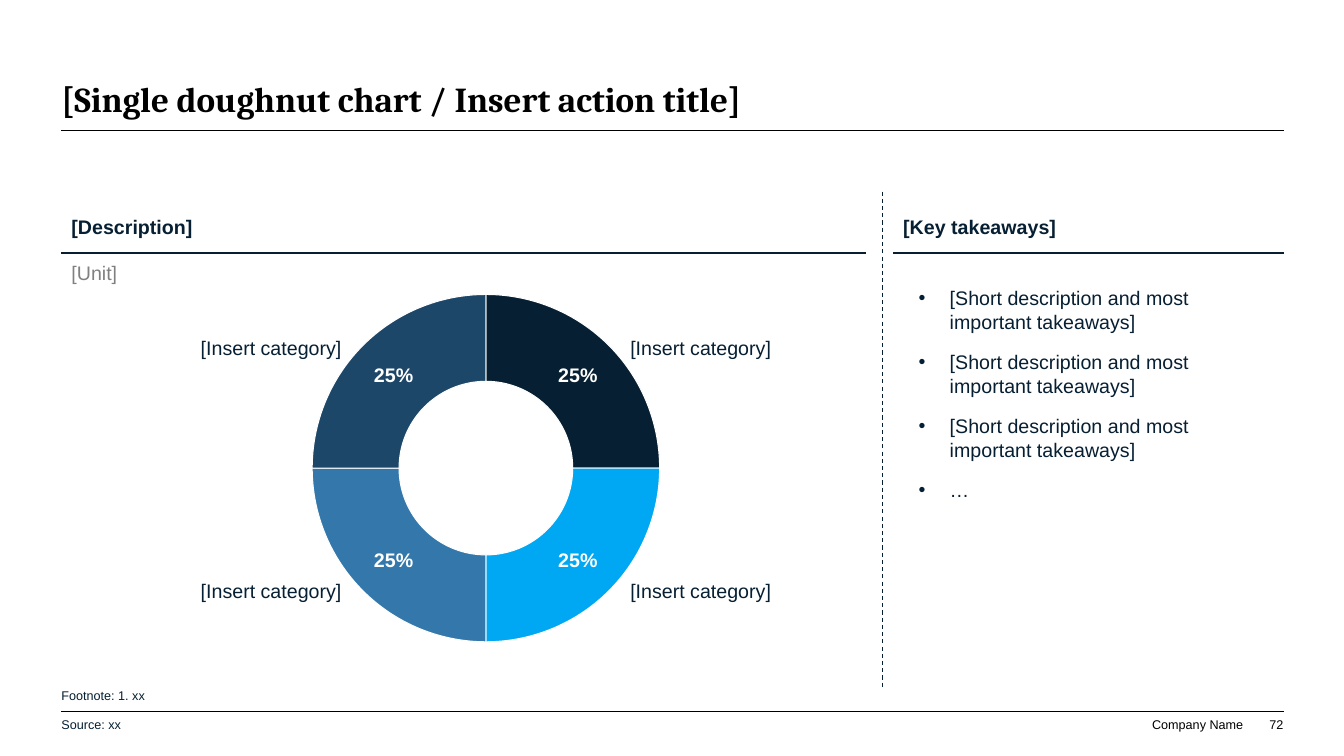
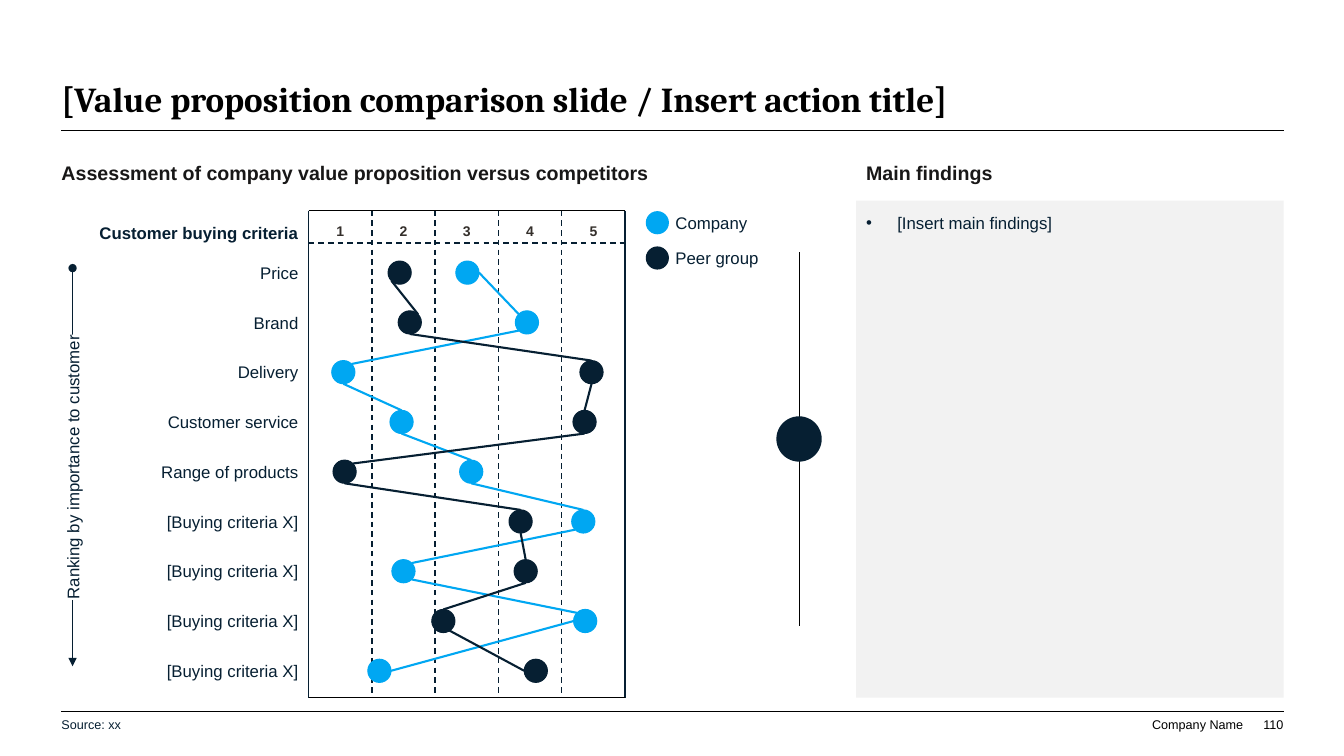
from dataclasses import dataclass
from math import cos, pi, sin

from lxml.etree import SubElement
from pptx import Presentation
from pptx.chart.data import CategoryChartData
from pptx.dml.color import RGBColor
from pptx.enum.chart import XL_CHART_TYPE
from pptx.enum.dml import MSO_LINE
from pptx.enum.shapes import MSO_CONNECTOR, MSO_SHAPE
from pptx.enum.text import MSO_ANCHOR, MSO_AUTO_SIZE, PP_ALIGN
from pptx.oxml.ns import qn
from pptx.util import Inches, Pt


@dataclass(frozen=True)
class Theme:
    navy: str = "061F32"
    sky: str = "00A7F2"
    blue: str = "3478AB"
    steel: str = "1D4769"
    black: str = "000000"
    white: str = "FFFFFF"
    ink: str = "181717"
    brown: str = "342F2B"
    grey: str = "808080"
    pale: str = "F2F2F2"
    serif: str = "Cambria"
    sans: str = "Arial"
    title: int = 25
    head: int = 14
    body: int = 12
    scale: int = 10
    note: int = 9


@dataclass(frozen=True)
class Box:
    x: float
    y: float
    w: float
    h: float

    @property
    def right(self):
        return self.x + self.w

    @property
    def end(self):
        return self.y + self.h

    @property
    def mid(self):
        return self.x + self.w / 2, self.y + self.h / 2

    def sub(self, dx, dy, w, h):
        """Box of a given size, offset from this one's top left corner."""
        return Box(self.x + dx, self.y + dy, w, h)

    def emu(self):
        return [Inches(v) for v in (self.x, self.y, self.w, self.h)]


def around(x, y, w, h):
    """Box centred on a point."""
    return Box(x - w / 2, y - h / 2, w, h)


T = Theme()
PAGE = Box(0, 0, 13.33, 7.5)
BODY = Box(0.61, 1.29, 12.12, 5.77)  # between the two rules
PAD = (0.1, 0.05, 0.1, 0.05)
INDENT = 0.31
DOT = 0.23
LEFT, MID, RIGHT = PP_ALIGN.LEFT, PP_ALIGN.CENTER, PP_ALIGN.RIGHT
TOP, CENTRE, BASE = MSO_ANCHOR.TOP, MSO_ANCHOR.MIDDLE, MSO_ANCHOR.BOTTOM


def rgb(code):
    return RGBColor.from_string(code)


def write(shape, text, size=T.body, color=T.navy, font=T.sans, bold=False,
          align=LEFT, anchor=TOP, pad=(0, 0, 0, 0), wrap=True,
          bullet=False, after=0):
    """Fill a shape with text, one paragraph a line."""
    frame = shape.text_frame
    frame.text = text
    frame.auto_size = MSO_AUTO_SIZE.NONE
    frame.word_wrap = wrap
    frame.vertical_anchor = anchor
    (frame.margin_left, frame.margin_top,
     frame.margin_right, frame.margin_bottom) = [Inches(v) for v in pad]
    for para in frame.paragraphs:
        if bullet:
            props = para._p.get_or_add_pPr()
            props.set("marL", str(Inches(INDENT)))
            props.set("indent", str(-Inches(INDENT)))
            SubElement(props, qn("a:buFont")).set("typeface", T.sans)
            SubElement(props, qn("a:buChar")).set("char", "•")
        para.alignment = align
        para.space_before = Pt(0)
        para.space_after = Pt(after)
        para.font.size = Pt(size)
        para.font.name = font
        para.font.bold = bold
        para.font.color.rgb = rgb(color)


def label(slide, box, text, **style):
    shape = slide.shapes.add_textbox(*box.emu())
    write(shape, text, **style)
    return shape


def place(shape, box):
    shape.left, shape.top, shape.width, shape.height = box.emu()
    return shape


def rule(slide, start, end, color=T.navy, width=1, dash=False, ends=None):
    """Straight line; ends names the arrowheads at start and end."""
    line = slide.shapes.add_connector(
        MSO_CONNECTOR.STRAIGHT, *[Inches(v) for v in (*start, *end)])
    line.line.color.rgb = rgb(color)
    line.line.width = Pt(width)
    if dash:
        line.line.dash_style = MSO_LINE.DASH
    props = line._element.spPr
    if ends:
        stroke = props.find(qn("a:ln"))
        for tag, kind in zip(("a:headEnd", "a:tailEnd"), ends):
            SubElement(stroke, qn(tag)).set("type", kind)
    SubElement(props, qn("a:effectLst"))


def solid(slide, kind, box, color, edge=None):
    shape = slide.shapes.add_shape(kind, *box.emu())
    shape.shadow.inherit = False
    shape.fill.solid()
    shape.fill.fore_color.rgb = rgb(color)
    if edge:
        shape.line.color.rgb = rgb(color)
        shape.line.width = Pt(edge)
    else:
        shape.line.fill.background()
    return shape


def disc(slide, x, y, size, color, edge=None):
    solid(slide, MSO_SHAPE.OVAL, around(x, y, size, size), color, edge)


def base(deck, title, page):
    """New slide with title, rules and footer."""
    slide = deck.slides.add_slide(deck.slide_layouts[1])
    write(place(slide.shapes.title, Box(BODY.x, 0.39, BODY.w, 0.8)), title,
          size=T.title, font=T.serif, color=T.black, bold=True, anchor=BASE)
    for y in (BODY.y, BODY.end):
        rule(slide, (BODY.x, y), (BODY.right, y), T.black, 0.5)
    foot = dict(size=T.note, color=T.black, align=RIGHT, anchor=BASE)
    label(slide, Box(11.42, 7.11, 0.91, 0.15), "Company Name", wrap=False, **foot)
    label(slide, Box(12.37, 7.11, 0.36, 0.15), page, **foot)
    note(slide, 6.99, "Source: xx")
    return slide


def note(slide, y, text):
    label(slide, Box(BODY.x, y, 7.98, 0.4), text, size=T.note, anchor=CENTRE)


def header(slide, box, text):
    label(slide, box.sub(0, 0, box.w, 0.78), text, size=T.head, bold=True,
          anchor=BASE, pad=PAD)
    y = box.y + 0.88
    rule(slide, (box.x, y), (box.right, y))


def ring(slide, box):
    """Doughnut chart with a caption beside each quarter."""
    colors = (T.navy, T.sky, T.blue, T.steel)
    data = CategoryChartData()
    data.categories = ["1", "2", "3", "4"]
    data.add_series("Series 1", [0.25] * 4)
    chart = slide.shapes.add_chart(
        XL_CHART_TYPE.DOUGHNUT, *box.emu(), data).chart
    chart.has_legend = chart.has_title = False
    chart.font.size, chart.font.name = Pt(T.head), T.sans
    plot = chart.plots[0]
    plot.vary_by_categories = True
    for i, color in enumerate(colors):
        part = plot.series[0].points[i].format
        part.fill.solid()
        part.fill.fore_color.rgb = rgb(color)
        part.line.color.rgb = rgb(T.white)
        part.line.width = Pt(0.75)
    plot.has_data_labels = True
    marks = plot.data_labels
    marks.show_value, marks.show_percentage = True, False
    marks.number_format, marks.number_format_is_linked = "0%", False
    marks.font.size, marks.font.name = Pt(T.head), T.sans
    marks.font.bold = True
    marks.font.color.rgb = rgb(T.white)
    plot._element.find(qn("c:holeSize")).set("val", "50")
    area = chart._chartSpace.chart.plotArea
    for old in area.findall(qn("c:layout")):
        area.remove(old)
    layout = SubElement(area, qn("c:layout"))
    area.insert(0, layout)
    manual = SubElement(layout, qn("c:manualLayout"))
    for tag, value in (("layoutTarget", "inner"), ("xMode", "edge"),
                       ("yMode", "edge"), ("x", "0.26"), ("y", "0.04"),
                       ("w", "0.48"), ("h", "0.92")):
        SubElement(manual, qn("c:" + tag)).set("val", value)
    x, y = box.mid
    for dx in (-2.13, 2.13):
        for dy in (-1.2, 1.21):
            label(slide, around(x + dx, y + dy, 1.42, 0.24), "[Insert category]",
                  size=T.head, align=MID, anchor=BASE, wrap=False)


def share(deck):
    """Doughnut slide."""
    slide = base(deck, "[Single doughnut chart / Insert action title]", "72")
    left = Box(BODY.x, 1.63, 7.98, 5.3)
    right = Box(8.86, left.y, 3.87, left.h)
    ring(slide, left.sub(0.62, 1.13, 7.18, 3.77))
    header(slide, left, "[Description]")
    label(slide, left.sub(0, 0.91, 5.73, 0.34), "[Unit]", size=T.head,
          color=T.grey, pad=PAD)
    header(slide, right, "[Key takeaways]")
    rule(slide, (8.75, 1.9), (8.75, 6.82), width=0.75, dash=True)
    points = ["[Short description and most important takeaways]"] * 3 + ["…"]
    write(place(slide.placeholders[1], right.sub(0.15, 1.16, 3.72, 2.26)),
          "\n".join(points), size=T.head, pad=PAD, bullet=True, after=12)
    note(slide, 6.7, "Footnote: 1. xx")


CRITERIA = ["Price", "Brand", "Delivery", "Customer service",
            "Range of products"] + ["[Buying criteria X]"] * 4
# Ratings are in grid columns. Joints are pairs of rim points, an eighth
# of a turn apart, counted anticlockwise from the top.
RATINGS = (
    ("Company", T.sky,
     (2.51, 3.45, 0.55, 1.47, 2.57, 4.34, 1.5, 4.37, 1.12),
     ((6, 1), (3, 7), (4, 0), (4, 0), (4, 0), (3, 7), (5, 1), (2, 6))),
    ("Peer group", T.navy,
     (1.44, 1.6, 4.47, 4.36, 0.57, 3.35, 3.43, 2.13, 3.59),
     ((3, 7), (4, 0), (4, 0), (4, 7), (4, 0), (4, 0), (4, 0), (2, 2))),
)


def rim(point, site):
    turn = site * pi / 4
    return (point[0] - DOT / 2 * sin(turn), point[1] - DOT / 2 * cos(turn))


def profile(slide, box):
    """Rating grid with criteria on its left and the key on its right."""
    col, row, first = box.w / 5, 0.49375, 0.615
    for i in range(6):
        x = box.x + i * col
        rule(slide, (x, box.y), (x, box.end), dash=0 < i < 5)
    for dy, color in ((0, T.black), (0.32, T.navy), (box.h, T.black)):
        y = box.y + dy
        rule(slide, (box.x, y), (box.right, y), color, dash=dy == 0.32)
    for i in range(5):
        label(slide, box.sub((i + 0.5) * col - 0.2, 0.11, 0.4, 0.17), str(i + 1),
              size=T.scale, color=T.brown, bold=True, align=MID, anchor=BASE)
    label(slide, box.sub(-2.26, 0.12, 2.16, 0.2), "Customer buying criteria",
          bold=True, align=RIGHT, anchor=BASE)
    for i, name in enumerate(CRITERIA):
        label(slide, box.sub(-1.99, first - 0.1 + i * row, 1.89, 0.2), name,
              align=RIGHT)
    for i, (name, color, scores, joints) in enumerate(RATINGS):
        spots = [(box.x + score * col, box.y + first + j * row)
                 for j, score in enumerate(scores)]
        for x, y in spots:
            disc(slide, x, y, DOT, color, 0.75)
        for a, b, (out, into) in zip(spots, spots[1:], joints):
            rule(slide, rim(a, out), rim(b, into), color, 1.5)
        y = box.y + 0.12 + i * 0.35
        disc(slide, box.right + 0.32, y, DOT, color)
        label(slide, Box(box.right + 0.5, y - 0.1, 1.2, 0.2), name)


def ranking(slide, box):
    """Upright arrow with its caption across the middle."""
    x, y = box.mid
    rule(slide, (x, box.y), (x, box.end), width=0.75, ends=("oval", "triangle"))
    tag = solid(slide, MSO_SHAPE.RECTANGLE, around(x, y, 2.63, 0.2), T.white)
    tag.rotation = 270
    write(tag, "Ranking by importance to customer", align=MID, wrap=False)


def pointer(slide, box):
    """Upright rule with a chevron in a disc."""
    x, y = box.mid
    rule(slide, (x, box.y), (x, box.end), T.black, 0.25)
    disc(slide, x, y, box.w, T.navy)
    pen = slide.shapes.build_freeform(x - 0.04, y - 0.12, scale=Inches(1))
    pen.add_line_segments([(x + 0.09, y), (x - 0.04, y + 0.12)], close=False)
    mark = pen.convert_to_shape()
    mark.shadow.inherit = False
    mark.fill.background()
    mark.line.color.rgb = rgb(T.white)
    mark.line.width = Pt(0.85)


def compare(deck):
    """Value proposition slide."""
    slide = base(
        deck, "[Value proposition comparison slide / Insert action title]", "110")
    found = Box(8.49, 1.99, 4.24, 4.93)
    heads = ((BODY.x, "Assessment of company value proposition versus competitors"),
             (found.x + 0.1, "Main findings"))
    for x, text in heads:
        label(slide, Box(x, 1.6, 6, 0.24), text, size=T.head, color=T.ink,
              bold=True, wrap=False)
    profile(slide, Box(3.06, 2.09, 3.14, 4.83))
    ranking(slide, Box(0.62, 2.66, 0.2, 3.95))
    pointer(slide, Box(7.7, 2.5, 0.45, 3.71))
    panel = place(slide.placeholders[1], found)
    panel.fill.solid()
    panel.fill.fore_color.rgb = rgb(T.pale)
    write(panel, "[Insert main findings]", pad=(0.1, 0.12, 0.1, 0.05), bullet=True)


def main():
    deck = Presentation()
    deck.slide_width, deck.slide_height = Inches(PAGE.w), Inches(PAGE.h)
    share(deck)
    compare(deck)
    deck.save("out.pptx")


if __name__ == "__main__":
    main()
